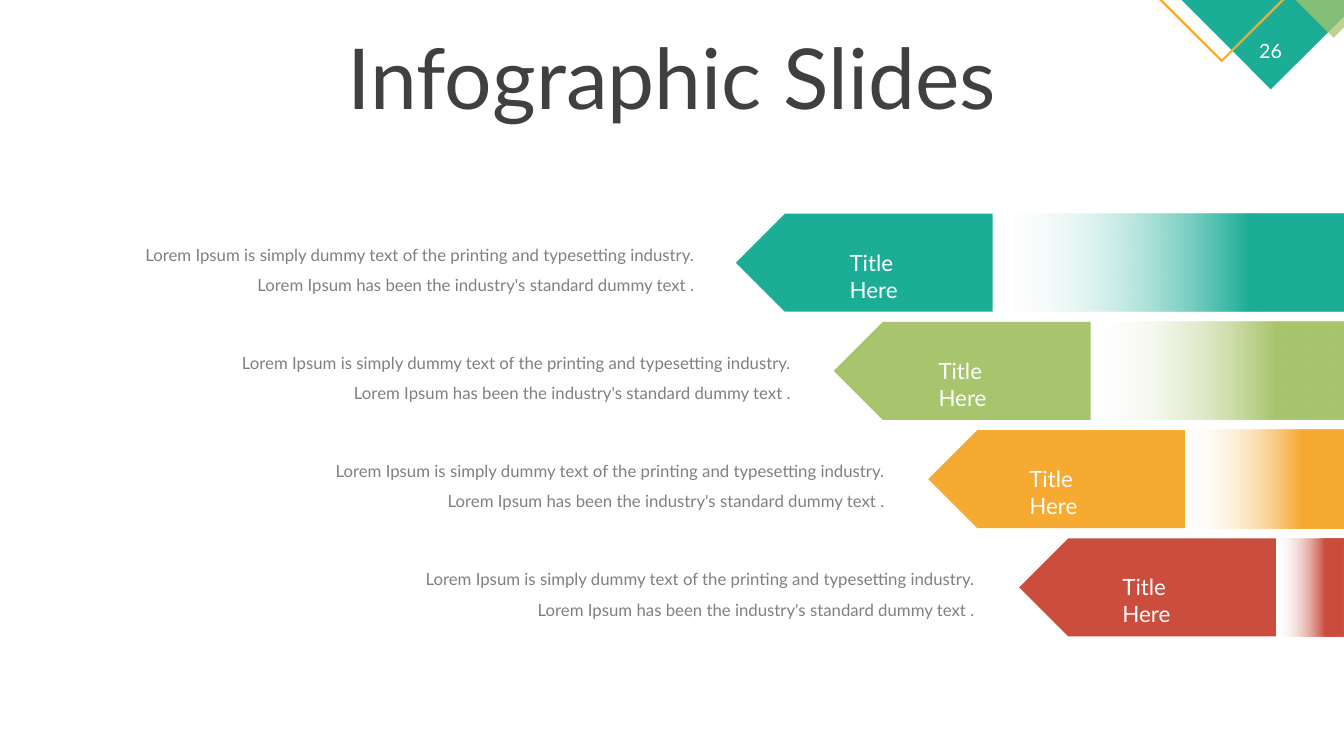
from dataclasses import dataclass

from lxml import etree
from pptx import Presentation
from pptx.dml.color import RGBColor
from pptx.enum.shapes import MSO_SHAPE
from pptx.enum.text import MSO_ANCHOR, PP_ALIGN
from pptx.oxml.ns import qn
from pptx.util import Pt

PENTAGON = MSO_SHAPE.PENTAGON
RECTANGLE = MSO_SHAPE.RECTANGLE
TOP = MSO_ANCHOR.TOP
LEFT, CENTER, RIGHT = PP_ALIGN.LEFT, PP_ALIGN.CENTER, PP_ALIGN.RIGHT

COLORS = {
    "teal": "1CAD97",
    "green": "A8C56D",
    "orange": "F7AA32",
    "red": "CA4D3D",
    "white": "FFFFFF",
    "heading": "404040",
    "body": "808080",
}
FONT = "Lato"
PAGE_WIDTH, PAGE_HEIGHT = 960, 540
FIRST_TOP, ROW_PITCH, ROW_HEIGHT = 152.6, 77.3, 70
ARROW_WIDTH = 183.4
CAPTION = (
    "Lorem Ipsum is simply dummy text of the printing and typesetting industry. "
    "Lorem Ipsum has been the industry's standard dummy text ."
)


@dataclass
class Row:
    color: str
    arrow_left: float
    label_left: float
    caption_left: float


@dataclass
class Corner:
    color: str
    points: list[tuple[float, float]]
    opacity: int = 100


ROWS = [
    Row("teal", 525.6, 599.8, 103.2),
    Row("green", 595.6, 663.3, 172.2),
    Row("orange", 663, 728.2, 239.1),
    Row("red", 728, 794.7, 303.4),
]
CORNERS = [
    Corner("teal", [(844, 0), (960, 0), (960, 11.8), (907.8, 63.8)]),
    Corner("orange", [(828, 0), (830.4, 0), (872.7, 42.5), (915.1, 0), (917.4, 0), (872.7, 44.6)]),
    Corner("green", [(925.4, 0), (960, 0), (960, 19.6), (952.6, 27)], 75),
]


def rgb(name: str) -> RGBColor:
    return RGBColor.from_string(COLORS[name])


def set_opacity(color_element, percent: int) -> None:
    alpha = etree.SubElement(color_element, qn("a:alpha"))
    alpha.set("val", str(percent * 1000))


def write(box, text: str, size: float, color: str, align, wrap: bool = True,
          inset: bool = True, spacing: float = 1.0) -> None:
    frame = box.text_frame
    frame.word_wrap = wrap
    frame.vertical_anchor = TOP
    frame.margin_left = frame.margin_right = Pt(7.2 if inset else 0)
    frame.margin_top = frame.margin_bottom = Pt(3.6 if inset else 0)
    para = frame.paragraphs[0]
    para.alignment = align
    para.line_spacing = spacing
    span = para.add_run()
    span.text = text
    span.font.name = FONT
    span.font.size = Pt(size)
    span.font.color.rgb = rgb(color)


def add_text_box(page, left: float, top: float, width: float, height: float):
    return page.shapes.add_textbox(Pt(left), Pt(top), Pt(width), Pt(height))


def add_corner(page, corner: Corner) -> None:
    points = [(Pt(x), Pt(y)) for x, y in corner.points]
    builder = page.shapes.build_freeform(*points[0])
    builder.add_line_segments(points[1:], close=True)
    shape = builder.convert_to_shape()
    shape.shadow.inherit = False
    shape.fill.solid()
    shape.fill.fore_color.rgb = rgb(corner.color)
    shape.line.fill.background()
    if corner.opacity < 100:
        set_opacity(next(shape.element.iter(qn("a:srgbClr"))), corner.opacity)


def add_bar(page, kind, left: float, top: float, width: float):
    shape = page.shapes.add_shape(kind, Pt(left), Pt(top), Pt(width), Pt(ROW_HEIGHT))
    shape.shadow.inherit = False
    shape.line.fill.background()
    return shape


def add_row(page, row: Row, top: float) -> None:
    arrow = add_bar(page, PENTAGON, row.arrow_left, top, ARROW_WIDTH)
    arrow.rotation = 180
    arrow.fill.solid()
    arrow.fill.fore_color.rgb = rgb(row.color)

    strip_left = row.arrow_left + ARROW_WIDTH
    strip = add_bar(page, RECTANGLE, strip_left, top, PAGE_WIDTH - strip_left)
    strip.fill.gradient()
    strip.fill.gradient_angle = 0
    start, end = strip.fill.gradient_stops
    start.position, end.position = 0, 0.73
    start.color.rgb, end.color.rgb = rgb("white"), rgb(row.color)
    set_opacity(next(strip.element.iter(qn("a:srgbClr"))), 0)

    label = add_text_box(page, row.label_left, top + 21.6, 79.9, 26.6)
    write(label, "Title Here", 16, "white", LEFT)
    caption = add_text_box(page, row.caption_left, top + 14.8, 393, 41)
    write(caption, CAPTION, 12, "body", RIGHT, inset=False, spacing=1.5)


def main() -> None:
    deck = Presentation()
    deck.slide_width, deck.slide_height = Pt(PAGE_WIDTH), Pt(PAGE_HEIGHT)
    page = deck.slides.add_slide(deck.slide_layouts[5])

    for corner in CORNERS:
        add_corner(page, corner)
    number = add_text_box(page, 887.8, 24.5, 39.6, 24.5)
    write(number, "26", 14, "white", CENTER, wrap=False)

    title = page.shapes.title
    title.left, title.top, title.width, title.height = Pt(239), Pt(14.4), Pt(482), Pt(80)
    write(title, "Infographic Slides", 60, "heading", CENTER, wrap=False)

    for index, row in enumerate(ROWS):
        add_row(page, row, FIRST_TOP + index * ROW_PITCH)
    deck.save("out.pptx")


if __name__ == "__main__":
    main()
